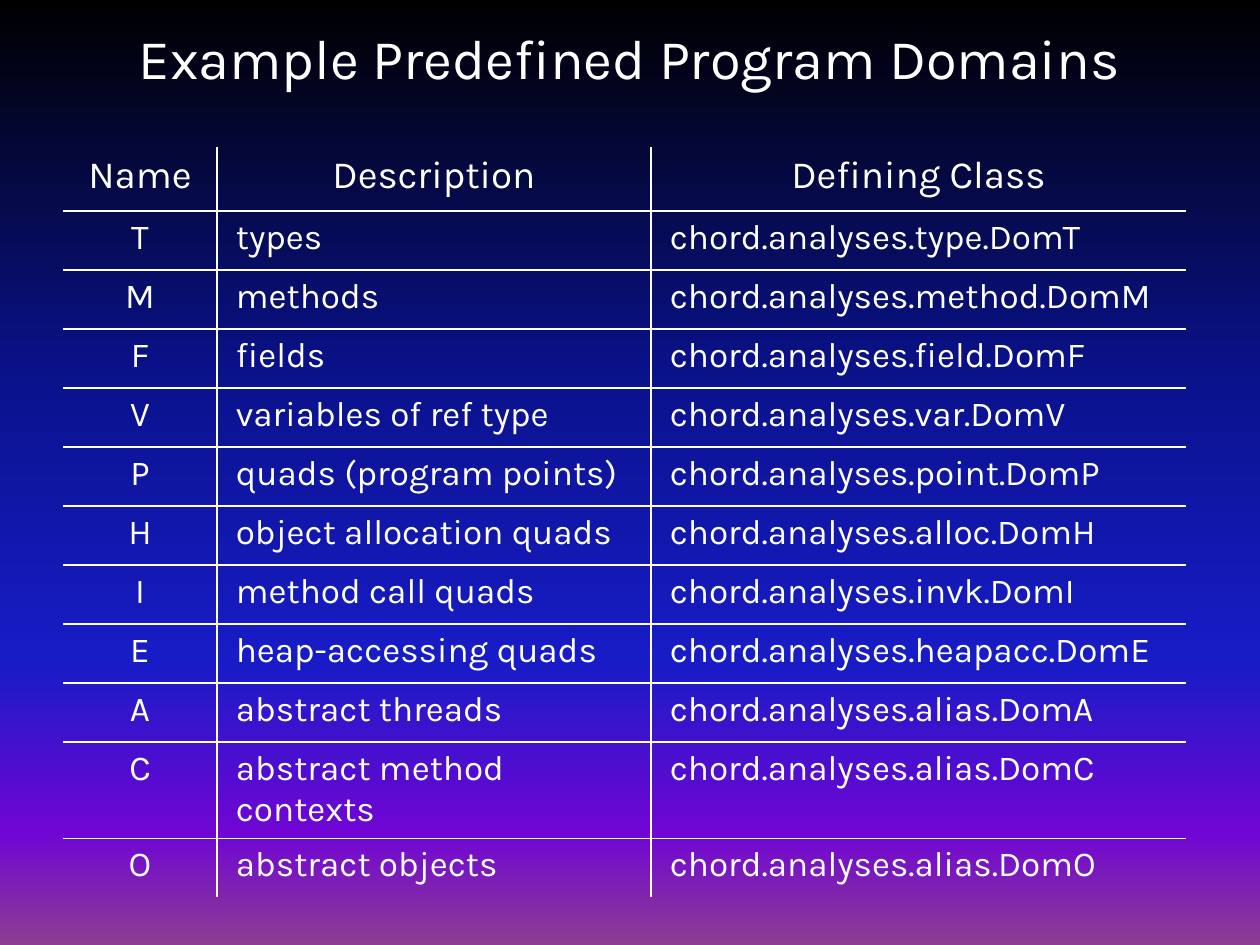
import pptx
import pptx.dml.color
import pptx.enum.text
import pptx.oxml
import pptx.oxml.ns
import pptx.util

PX = 914400 / 126  # EMU in one px
FONT = "Karla"
WHITE = pptx.dml.color.RGBColor(0xFF, 0xFF, 0xFF)
SKY = [
    (0, pptx.dml.color.RGBColor(0x00, 0x00, 0x00)),
    (40, pptx.dml.color.RGBColor(0x0A, 0x12, 0x8C)),
    (70, pptx.dml.color.RGBColor(0x18, 0x1C, 0xC7)),
    (88, pptx.dml.color.RGBColor(0x70, 0x05, 0xD4)),
    (100, pptx.dml.color.RGBColor(0x8C, 0x3D, 0x91)),
]
CENTER = pptx.enum.text.PP_ALIGN.CENTER
LEFT = pptx.enum.text.PP_ALIGN.LEFT

COLUMN_WIDTHS = [154, 434, 535]
HEADER_HEIGHT, ROW_HEIGHT = 64, 59
HEADINGS = ("Name", "Description", "Defining Class")
DOMAINS = [
    ("T", "types", "chord.analyses.type.DomT"),
    ("M", "methods", "chord.analyses.method.DomM"),
    ("F", "fields", "chord.analyses.field.DomF"),
    ("V", "variables of ref type", "chord.analyses.var.DomV"),
    ("P", "quads (program points)", "chord.analyses.point.DomP"),
    ("H", "object allocation quads", "chord.analyses.alloc.DomH"),
    ("I", "method call quads", "chord.analyses.invk.DomI"),
    ("E", "heap-accessing quads", "chord.analyses.heapacc.DomE"),
    ("A", "abstract threads", "chord.analyses.alias.DomA"),
    ("C", "abstract method contexts", "chord.analyses.alias.DomC"),
    ("O", "abstract objects", "chord.analyses.alias.DomO"),
]


def px(length):
    return pptx.util.Emu(round(length * PX))


def xml(tag, content):
    return pptx.oxml.parse_xml(
        f"<a:{tag} {pptx.oxml.ns.nsdecls('a')}>{content}</a:{tag.split()[0]}>")


def add_run(paragraph, words, size, align):
    paragraph.alignment = align
    run = paragraph.add_run()
    run.text = words
    run.font.name = FONT
    run.font.size = pptx.util.Pt(size)
    run.font.color.rgb = WHITE


def paint_background(slide):
    fill = slide.background.fill
    fill.gradient()
    fill.gradient_angle = 270  # first colour at the top
    stops = "".join(
        f'<a:gs pos="{percent * 1000}"><a:srgbClr val="{color}"/></a:gs>'
        for percent, color in SKY)
    gradient = slide.background.fill._fill._gradFill
    gradient.replace(gradient.find(pptx.oxml.ns.qn("a:gsLst")), xml("gsLst", stops))


def add_title(slide, left, top, width, height):
    title = slide.shapes.add_textbox(px(left), px(top), px(width), px(height))
    frame = title.text_frame
    frame.word_wrap = True
    frame.vertical_anchor = pptx.enum.text.MSO_ANCHOR.MIDDLE
    add_run(frame.paragraphs[0], "Example Predefined Program Domains", 32, CENTER)


def rule_cell(cell, ruled_sides):
    """Draw a white line on each ruled side and none on the others."""
    properties = cell._tc.get_or_add_tcPr()
    for index, side in enumerate("LRTB"):
        paint = "<a:noFill/>"
        if side in ruled_sides:
            paint = f'<a:solidFill><a:srgbClr val="{WHITE}"/></a:solidFill>'
        properties.insert(index, xml(f'ln{side} w="12700"', paint))


def add_domain_table(slide, left, top):
    rows = [HEADINGS] + DOMAINS
    last_row, last_column = len(rows) - 1, len(HEADINGS) - 1
    height = HEADER_HEIGHT + ROW_HEIGHT * len(DOMAINS)
    table = slide.shapes.add_table(
        len(rows), len(HEADINGS), px(left), px(top),
        px(sum(COLUMN_WIDTHS)), px(height)).table
    table.first_row = table.horz_banding = False
    for column, width in zip(table.columns, COLUMN_WIDTHS):
        column.width = px(width)

    for r, entries in enumerate(rows):
        table.rows[r].height = px(ROW_HEIGHT if r else HEADER_HEIGHT)
        for c, words in enumerate(entries):
            cell = table.cell(r, c)
            cell.margin_left = cell.margin_right = pptx.util.Inches(0.15)
            cell.fill.background()
            paragraph = cell.text_frame.paragraphs[0]
            paragraph.space_before = pptx.util.Pt(8)
            add_run(paragraph, words, 20 if r else 22,
                    LEFT if r and c else CENTER)
            # Only the inner grid is ruled
            inner = {"L": c > 0, "R": c < last_column,
                     "T": r > 0, "B": r < last_row}
            rule_cell(cell, [side for side in inner if inner[side]])


def main():
    presentation = pptx.Presentation()
    presentation.slide_width = px(1260)
    presentation.slide_height = px(945)
    slide = presentation.slides.add_slide(presentation.slide_layouts[6])
    paint_background(slide)
    add_title(slide, 0, 10, 1260, 95)
    add_domain_table(slide, 63, 147)
    presentation.save("out.pptx")


if __name__ == "__main__":
    main()
